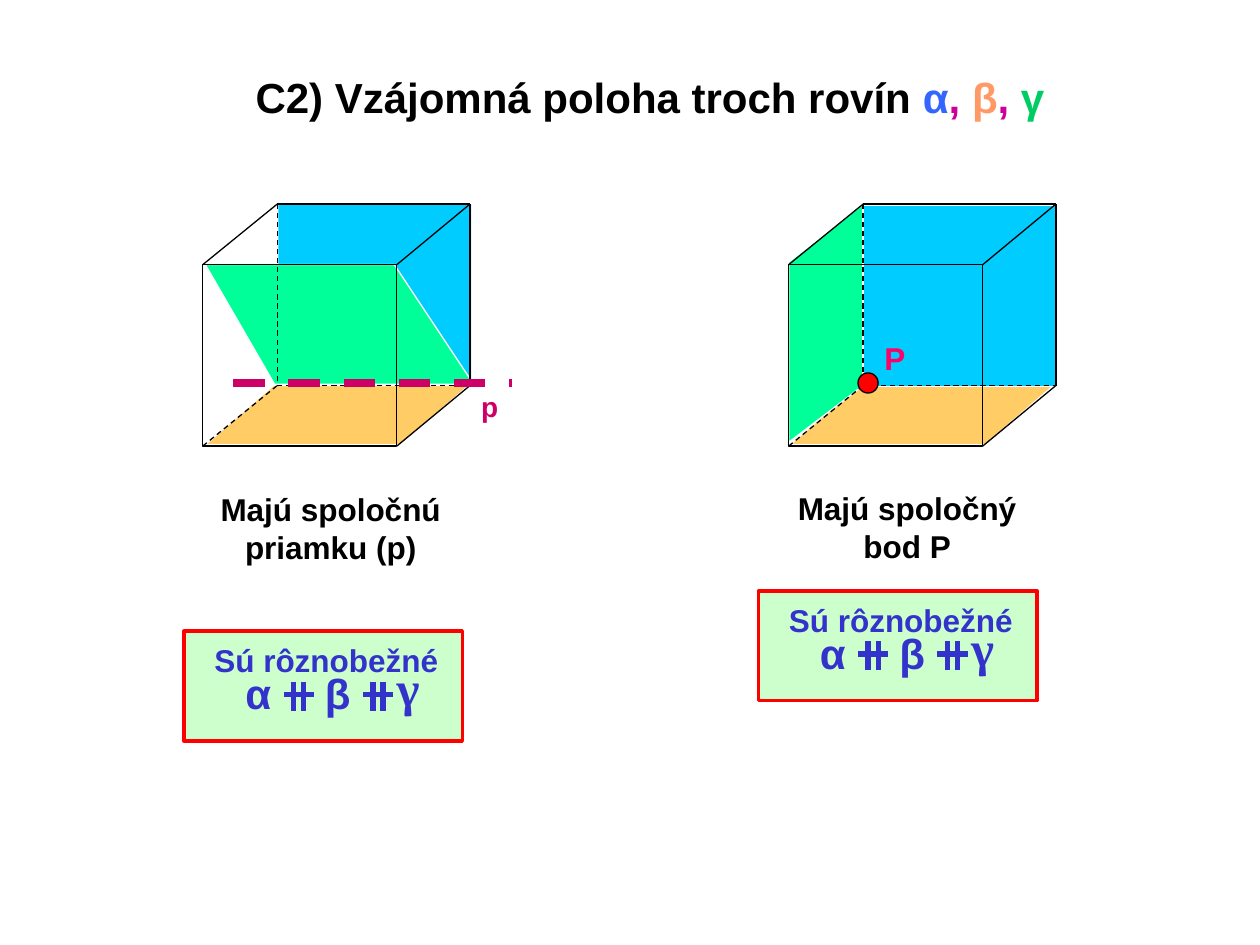
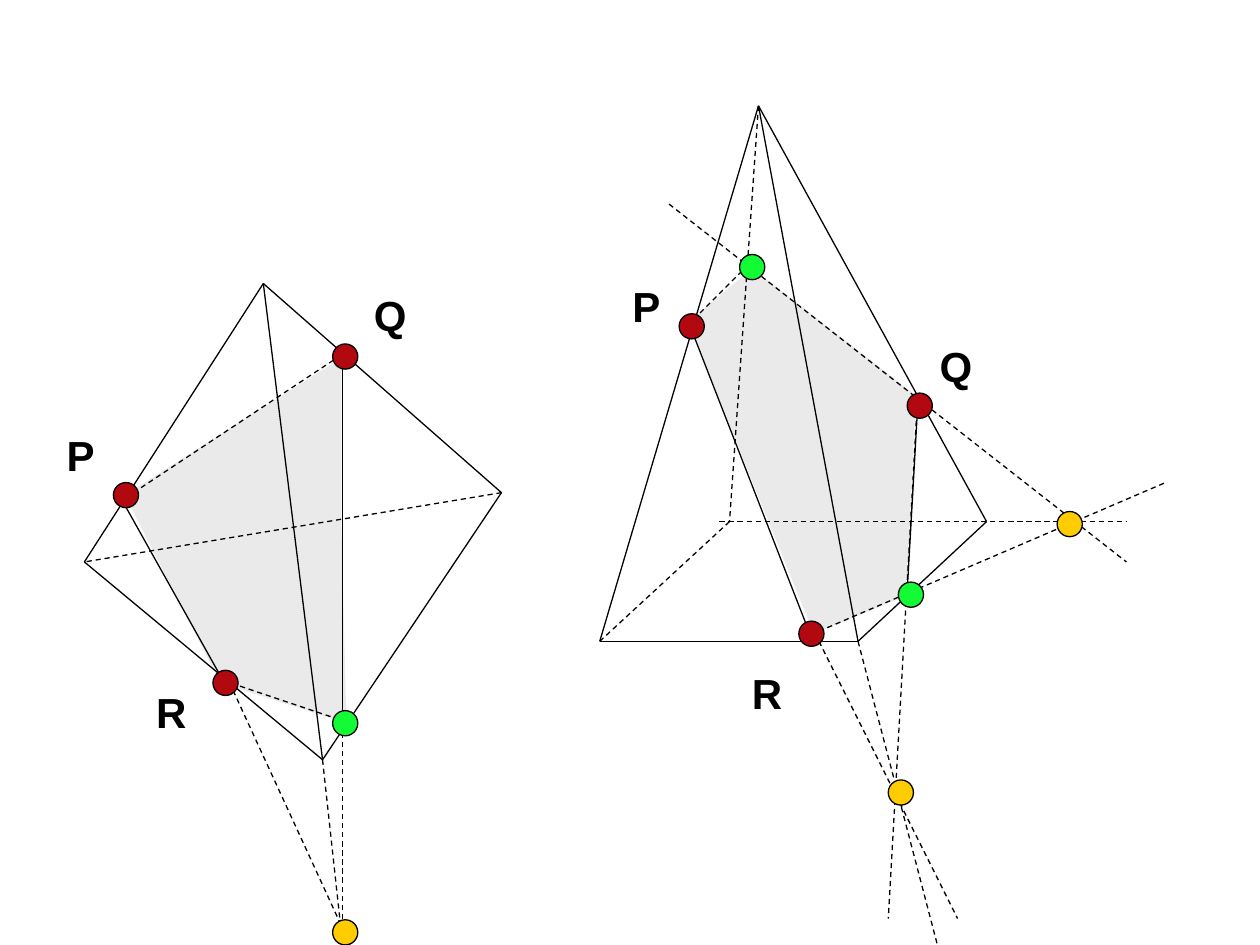
from pptx import Presentation
from pptx import util as u
from pptx.dml.color import RGBColor
from pptx.enum import dml, shapes, text
from pptx.oxml.ns import qn
from lxml import etree

PX_PER_INCH = 100
COLORS = {
    "black": "000000", "white": "FFFFFF", "red": "FF0000",
    "blue_face": "00CCFF", "green_face": "00FF99", "orange_face": "FFCC66",
    "alpha": "3366FF", "beta": "FF9966", "gamma": "00CC66", "comma": "CC0099",
    "badge": "CCFFCC", "badge_text": "3333CC", "line_p": "CC0066", "point_p": "FF0066",
    "section": "EAEAEA", "given": "B20810", "found": "13FB34", "helper": "FFCC00",
}


def px(n):
    return u.Emu(round(n * 914400 / PX_PER_INCH))


def rgb(name):
    return RGBColor.from_string(COLORS[name])


def paint(s, fill=None, line=None, width=0.75):
    s.shadow.inherit = False
    if fill:
        s.fill.solid()
        s.fill.fore_color.rgb = rgb(fill)
    else:
        s.fill.background()
    if line:
        s.line.color.rgb = rgb(line)
        s.line.width = u.Pt(width)
    else:
        s.line.fill.background()


def preset(sp, kind, x, y, w, h, fill=None, line=None, width=0.75):
    s = sp.add_shape(kind, px(x), px(y), px(w), px(h))
    paint(s, fill, line, width)


def rect(sp, *args, **style):
    preset(sp, shapes.MSO_SHAPE.RECTANGLE, *args, **style)


def dot(sp, center, fill, size=20):
    x, y = center
    preset(sp, shapes.MSO_SHAPE.OVAL, x - size / 2, y - size / 2, size, size, fill, "black")


def polygon(sp, points, fill, line=None):
    start, *rest = [(px(x), px(y)) for x, y in points]
    fb = sp.build_freeform(*start)
    fb.add_line_segments(rest, close=True)
    paint(fb.convert_to_shape(), fill, line)


def segment(sp, start, end, color="black", width=0.75, dashed=False):
    c = sp.add_connector(shapes.MSO_CONNECTOR.STRAIGHT, *map(px, start + end))
    c.line.color.rgb = rgb(color)
    c.line.width = u.Pt(width)
    if dashed:
        c.line.dash_style = dml.MSO_LINE.DASH
    etree.SubElement(c._element.spPr, qn("a:effectLst"))


def segments(sp, pairs, dashed=False):
    for start, end in pairs:
        segment(sp, start, end, dashed=dashed)


def label(sp, x, y, w, h, lines, size=24, color="black", font="Arial", center=False, wrap=False):
    tf = sp.add_textbox(px(x), px(y), px(w), px(h)).text_frame
    tf.word_wrap = wrap
    for i, line in enumerate(lines):
        p = tf.add_paragraph() if i else tf.paragraphs[0]
        p.alignment = text.PP_ALIGN.CENTER if center else text.PP_ALIGN.LEFT
        p.font.name, p.font.size, p.font.bold = font, u.Pt(size), True
        for words, run_color in [(line, color)] if isinstance(line, str) else line:
            r = p.add_run()
            r.text = words
            r.font.color.rgb = rgb(run_color)


def cube_edges(sp, x):
    g = sp.add_group_shape().shapes
    rect(g, x, 210, 154, 144, line="black")
    front_top, front_right = (x, 210), (x + 154, 210)
    front_bottom, front_corner = (x, 354), (x + 154, 354)
    back_top, back_right = (x + 59, 162), (x + 212, 162)
    back_bottom, back_corner = (x + 59, 306), (x + 212, 306)
    segments(g, [(front_corner, back_corner), (back_right, back_corner), (back_top, back_right),
                 (front_top, back_top), (front_right, back_right)])
    segments(g, [(back_bottom, back_corner), (back_top, back_bottom),
                 (front_bottom, back_bottom)], dashed=True)


def intersecting_sign(sp, x, y):
    for start, end in [((x + 8, y), (x + 8, y + 23)), ((x + 16, y), (x + 16, y + 23)),
                       ((x, y + 10), (x + 24, y + 10))]:
        segment(sp, start, end, "badge_text", 3)


def badge(sp, x, y):
    rect(sp, x, y, 221, 87, fill="badge", line="red", width=2)
    label(sp, x + 14, y + 3, 198, 40, ["Sú rôznobežné"], 18, "badge_text", center=True)
    label(sp, x + 39, y + 24, 40, 50, ["α"], 24, "badge_text")
    label(sp, x + 102, y + 24, 40, 50, ["β"], 24, "badge_text")
    for sign_x in (x + 79, x + 142):
        intersecting_sign(sp, sign_x, y + 40)
    label(sp, x + 159, y + 16, 38, 57, ["γ"], 28, "badge_text", "Times New Roman")


def bottom_face(sp, x):
    polygon(sp, [(x, 353), (x + 54, 306), (x + 209, 306), (x + 155, 353)], "orange_face", "white")


def common_line(sp):
    rect(sp, 221, 162, 153, 144, fill="blue_face")
    bottom_face(sp, 163)
    polygon(sp, [(163, 210), (313, 210), (376, 305), (218, 305)], "green_face", "white")
    cube_edges(sp, 161)
    segment(sp, (185, 304), (406, 304), "line_p", 4.5, dashed=True)
    label(sp, 372, 304, 33, 37, ["p"], 16, "line_p")
    label(sp, 138, 384, 249, 70, ["Majú spoločnú", "priamku (p)"], 18, center=True, wrap=True)
    badge(sp, 146, 501)


def common_point(sp):
    bottom_face(sp, 627)
    polygon(sp, [(685, 162), (685, 306), (626, 351), (626, 208)], "green_face", "white")
    rect(sp, 685, 163, 154, 144, fill="blue_face", line="white")
    cube_edges(sp, 626)
    dot(sp, (689, 304), "red", 16)
    label(sp, 692, 264, 36, 40, ["P"], 18, "point_p")
    label(sp, 602, 383, 236, 70, ["Majú spoločný", "bod P"], 18, center=True, wrap=True)
    badge(sp, 602, 469)


def dots_and_labels(sp, given, found, helper, labels):
    for fill, centers in (("given", given), ("found", found), ("helper", helper)):
        for center in centers:
            dot(sp, center, fill)
    for letter, x, y in labels:
        label(sp, x, y, 44, 50, [letter])


def tetrahedron(sp):
    top, left, front, right = (209, 225), (67, 446), (256, 603), (398, 391)
    polygon(sp, [(271, 284), (271, 418), (275, 574), (175, 542), (99, 393)], "section")
    segments(sp, [((272, 288), (272, 750)), ((177, 540), (272, 572)), ((106, 391), (272, 281)),
                  ((185, 548), (278, 750)), (right, left), (front, (272, 750))], dashed=True)
    segments(sp, [(left, front), (top, left), (top, front), (right, front), (top, right),
                  ((98, 399), (177, 540)), ((272, 281), (272, 572))])
    dots_and_labels(sp, [(100, 393), (179, 542), (274, 283)], [(274, 574)], [(274, 740)],
                    [("P", 43, 336), ("Q", 287, 225), ("R", 114, 540)])


def pyramid(sp):
    apex, front_left, front_right = (602, 84), (476, 509), (681, 509)
    back_right, back_left = (783, 414), (579, 414)
    polygon(sp, [(597, 213), (727, 314), (719, 473), (646, 503), (546, 256)], "section")
    segments(sp, [((728, 320), (705, 729)), ((594, 210), (547, 257)), ((531, 162), (894, 446)),
                  (front_right, (744, 750)), ((650, 509), (760, 729)), ((650, 501), (925, 383)),
                  ((571, 414), (894, 414)), (back_left, front_left), (apex, back_left)], dashed=True)
    segments(sp, [(apex, back_right), (front_left, front_right), (back_right, front_right),
                  (apex, front_left), (apex, front_right),
                  ((547, 257), (642, 501)), ((728, 328), (720, 469))])
    dots_and_labels(sp, [(644, 503), (549, 259), (730, 322)], [(597, 212), (723, 472)],
                    [(715, 629), (849, 416)],
                    [("P", 492, 218), ("Q", 736, 265), ("R", 587, 525)])


def main():
    prs = Presentation()
    prs.slide_width, prs.slide_height = px(1000), px(750)
    planes, sections = [prs.slides.add_slide(prs.slide_layouts[6]).shapes for _ in range(2)]
    title = [("C2) Vzájomná poloha troch rovín ", "black"), ("α", "alpha"), (", ", "comma"),
             ("β", "beta"), (", ", "comma"), ("γ", "gamma")]
    label(planes, 193, 52, 646, 50, [title])
    common_point(planes)
    common_line(planes)
    tetrahedron(sections)
    pyramid(sections)
    prs.save("out.pptx")


if __name__ == "__main__":
    main()
